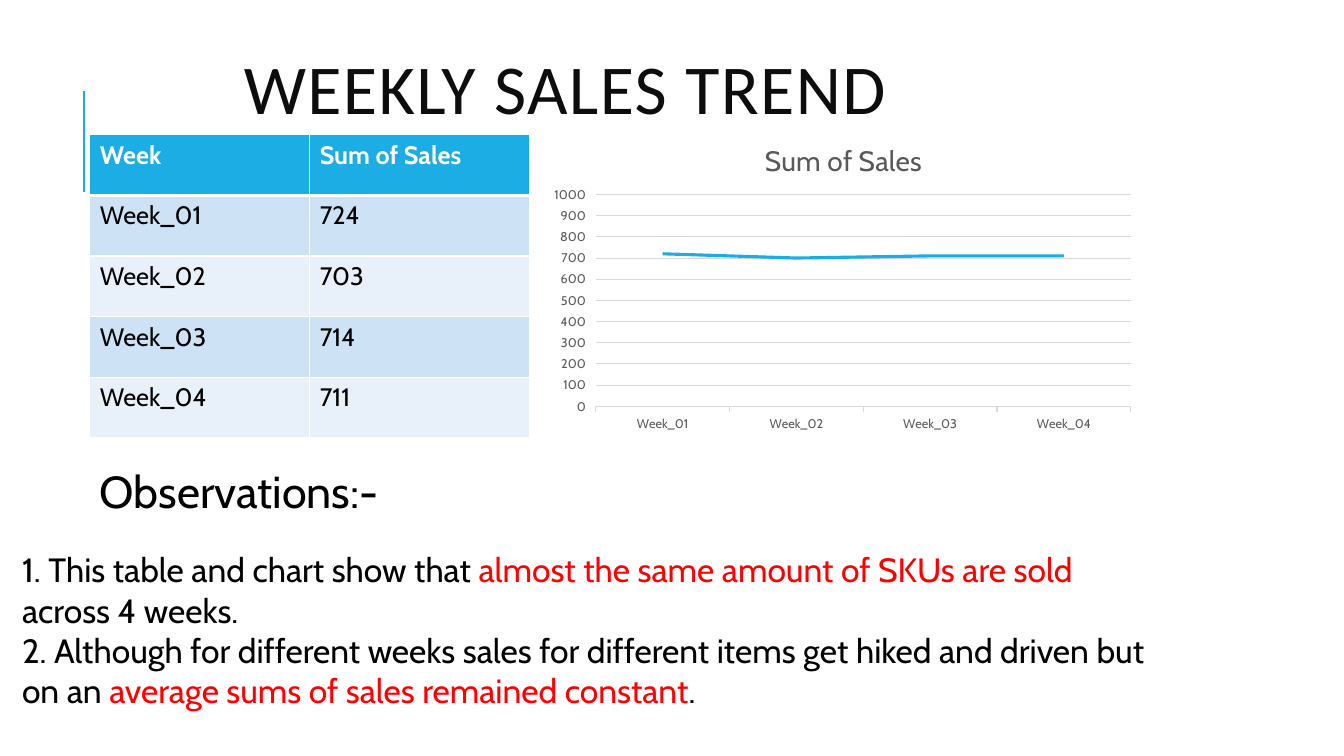
from dataclasses import dataclass

from lxml.etree import SubElement
from pptx import Presentation
from pptx.chart.data import CategoryChartData
from pptx.dml.color import RGBColor
from pptx.enum.chart import XL_CHART_TYPE, XL_MARKER_STYLE, XL_TICK_MARK
from pptx.enum.shapes import MSO_CONNECTOR
from pptx.enum.text import MSO_ANCHOR
from pptx.oxml import parse_xml
from pptx.oxml.ns import nsdecls, qn
from pptx.util import Inches, Pt


@dataclass(frozen=True)
class Theme:
    """Colours, fonts and type sizes of the slide."""

    accent: str = "1CADE4"
    band_dark: str = "CDE3F5"
    band_light: str = "E8F1FA"
    white: str = "FFFFFF"
    black: str = "000000"
    title_ink: str = "0D0D0D"
    highlight: str = "FF0000"
    axis_ink: str = "595959"
    grid: str = "D9D9D9"
    title_font: str = "Calibri"
    body_font: str = "Cabin"
    title_size: int = 50
    heading_size: int = 32
    body_size: int = 24
    chart_title_size: int = 20
    table_size: int = 18
    axis_size: int = 9


def apply(target, values):
    """Set every attribute named in a dict of format values."""
    for name, value in values.items():
        setattr(target, name, value)


class SlideBuilder:
    """Hold the theme and current slide, and add elements by percent of the slide."""

    def __init__(self, presentation, theme):
        """Start a blank slide."""
        self.theme = theme
        self.width = presentation.slide_width
        self.height = presentation.slide_height
        self.slide = presentation.slides.add_slide(presentation.slide_layouts[6])

    def place(self, left, top, width, height):
        """Turn percentages into slide lengths."""
        scales = (self.width, self.height, self.width, self.height)
        return [round(share * scale / 100) for share, scale in zip((left, top, width, height), scales)]

    def style_font(self, font, size, color, bold=False, name=None):
        """Format a font."""
        apply(font, {"name": name or self.theme.body_font, "size": Pt(size), "bold": bold})
        font.color.rgb = RGBColor.from_string(color)

    def style_line(self, line, color, width):
        """Format a line."""
        line.color.rgb = RGBColor.from_string(color)
        line.width = Pt(width)

    def add_rule(self, left, top, height):
        """Add a vertical accent line."""
        x, y, _, length = self.place(left, top, 0, height)
        rule = self.slide.shapes.add_connector(MSO_CONNECTOR.STRAIGHT, x, y + length, x, y)
        self.style_line(rule.line, self.theme.accent, 1.5)
        SubElement(rule._element.spPr, qn("a:effectLst"))

    def add_text(self, box, paragraphs, size, name=None, anchor=MSO_ANCHOR.TOP, line_spacing=None, tracking=0):
        """Add a text box whose paragraphs are lists of text and colour pairs."""
        frame = self.slide.shapes.add_textbox(*self.place(*box)).text_frame
        apply(frame, {"word_wrap": True, "vertical_anchor": anchor})
        for index, pieces in enumerate(paragraphs):
            paragraph = frame.add_paragraph() if index else frame.paragraphs[0]
            paragraph.line_spacing = line_spacing
            for text, color in pieces:
                run = paragraph.add_run()
                run.text = text
                self.style_font(run.font, size, color, name=name)
                if tracking:
                    run._r.get_or_add_rPr().set("spc", str(tracking * 100))

    def add_borders(self, cell, top, bottom):
        """Draw white borders around a cell."""
        properties = cell._tc.get_or_add_tcPr()
        widths = {"lnL": 1, "lnR": 1, "lnT": top, "lnB": bottom}
        for index, (tag, width) in enumerate(widths.items()):
            properties.insert(index, parse_xml(
                f'<a:{tag} {nsdecls("a")} w="{Pt(width)}"><a:solidFill>'
                f'<a:srgbClr val="{self.theme.white}"/></a:solidFill></a:{tag}>'))

    def add_table(self, box, rows):
        """Add a banded table with a header row."""
        theme = self.theme
        place = self.place(*box)
        table = self.slide.shapes.add_table(len(rows), len(rows[0]), *place).table
        table.horz_banding = False
        for row_index, values in enumerate(rows):
            header = row_index == 0
            band = theme.band_dark if row_index % 2 else theme.band_light
            for column_index, value in enumerate(values):
                cell = table.cell(row_index, column_index)
                cell.fill.solid()
                cell.fill.fore_color.rgb = RGBColor.from_string(theme.accent if header else band)
                self.add_borders(cell, 3 if row_index == 1 else 1, 3 if header else 1)
                run = cell.text_frame.paragraphs[0].add_run()
                run.text = str(value)
                self.style_font(run.font, theme.table_size, theme.white if header else theme.black, header)

    def add_line_chart(self, box, title, weeks, plot_area):
        """Add a line chart of weekly values, rounded to tens."""
        theme = self.theme
        data = CategoryChartData()
        data.categories = [week for week, _ in weeks]
        data.add_series(title, [round(value, -1) for _, value in weeks])
        chart = self.slide.shapes.add_chart(XL_CHART_TYPE.LINE, *self.place(*box), data).chart
        apply(chart, {"has_legend": False, "has_title": True})
        self.style_font(chart.font, theme.axis_size, theme.axis_ink)
        run = chart.chart_title.text_frame.paragraphs[0].add_run()
        run.text = title
        self.style_font(run.font, theme.chart_title_size, theme.axis_ink)
        chart.chart_title.include_in_layout = False

        plot = chart.plots[0]
        plot.vary_by_categories = False
        series = plot.series[0]
        series.smooth = False
        series.marker.style = XL_MARKER_STYLE.NONE
        self.style_line(series.format.line, theme.accent, 2.25)

        value_axis, category_axis = chart.value_axis, chart.category_axis
        apply(value_axis, {"minimum_scale": 0, "maximum_scale": 1000, "major_unit": 100,
                           "major_tick_mark": XL_TICK_MARK.OUTSIDE, "has_major_gridlines": True})
        value_axis.format.line.fill.background()
        for axis in (value_axis, category_axis):
            self.style_font(axis.tick_labels.font, theme.axis_size, theme.axis_ink)
        for line in (value_axis.major_gridlines.format.line, category_axis.format.line):
            self.style_line(line, theme.grid, 0.75)
        self.fix_plot_area(chart, plot_area)

    def fix_plot_area(self, chart, percents):
        """Fix the inner plot area by percent of the chart."""
        area = chart._chartSpace.chart.plotArea
        for layout in area.findall(qn("c:layout")):
            area.remove(layout)
        values = {"layoutTarget": "inner", "xMode": "edge", "yMode": "edge",
                  **{tag: percent / 100 for tag, percent in zip("xywh", percents)}}
        settings = "".join(f'<c:{tag} val="{value}"/>' for tag, value in values.items())
        area.insert(0, parse_xml(
            f'<c:layout {nsdecls("c")}><c:manualLayout>{settings}</c:manualLayout></c:layout>'))


def main():
    """Build and save the weekly sales slide."""
    presentation = Presentation()
    apply(presentation, {"slide_width": Inches(13.33), "slide_height": Inches(7.5)})
    theme = Theme()
    builder = SlideBuilder(presentation, theme)
    measure = "Sum of Sales"
    weeks = [("Week_01", 724), ("Week_02", 703), ("Week_03", 714), ("Week_04", 711)]
    margin = 6.68

    builder.add_rule(6.23, 12, 13.4)
    builder.add_text((17.4, 1.6, 79.74, 21.87), [[("WEEKLY SALES TREND", theme.title_ink)]],
                     theme.title_size, theme.title_font, MSO_ANCHOR.MIDDLE, 0.8, 1)
    builder.add_table((margin, 17.83, 32.73, 40.13), [("Week", measure), *weeks])
    observations = [
        [("1. This table and chart show that ", theme.black),
         ("almost the same amount of SKUs are sold ", theme.highlight),
         ("across 4 weeks.", theme.black)],
        [("2. Although for different weeks sales for different items get hiked and driven but on an ",
          theme.black),
         ("average sums of sales remained constant", theme.highlight),
         (".", theme.black)],
    ]
    builder.add_text((0.9, 72, 85.2, 22.93), observations, theme.body_size)
    builder.add_text((margin, 60.67, 38.33, 8.53), [[("Observations:-", theme.black)]], theme.heading_size)
    builder.add_line_chart((40.44, 16.4, 44.64, 41.47), measure, weeks, (8.7, 22.5, 89.2, 67.6))
    presentation.save("out.pptx")


if __name__ == "__main__":
    main()
